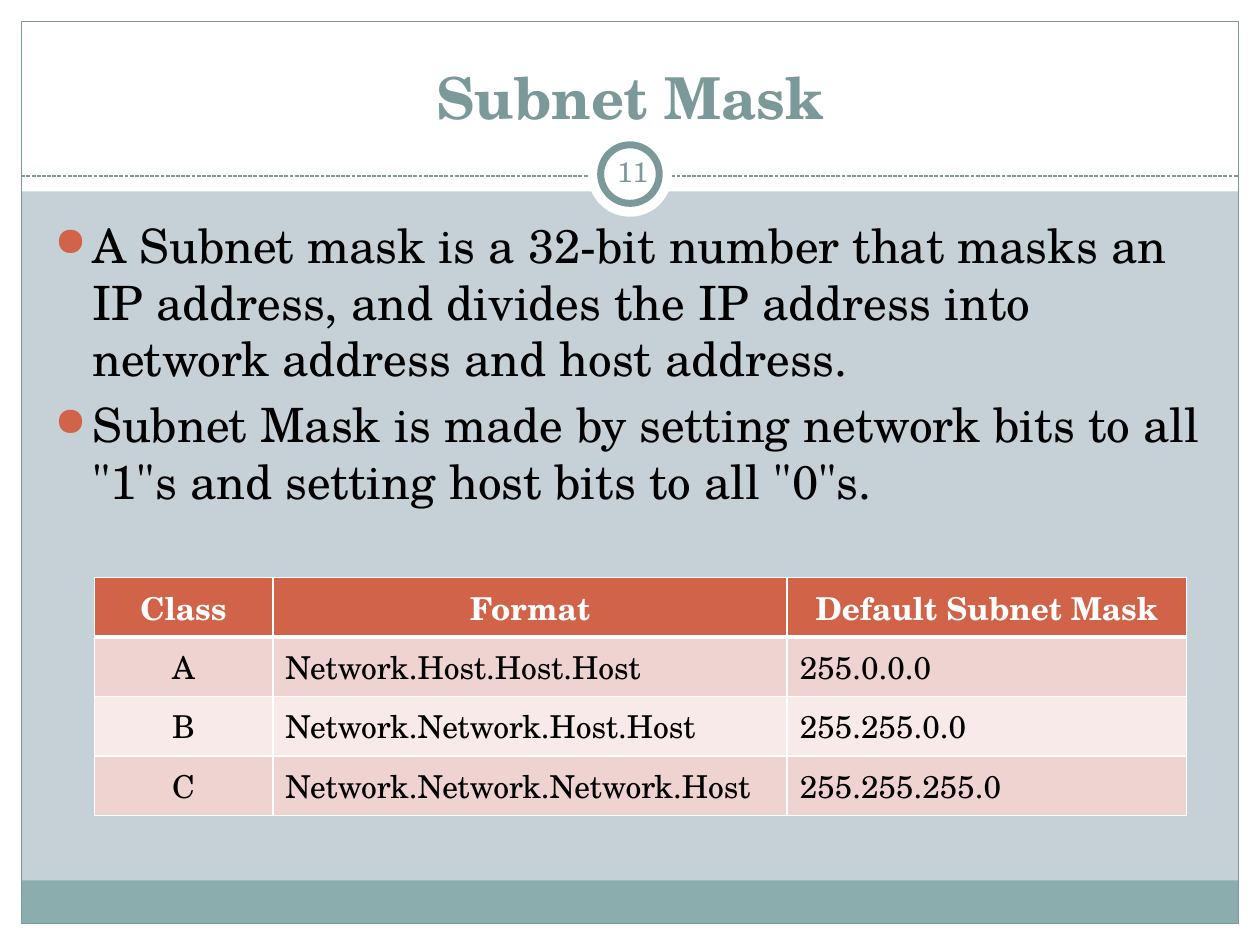
from dataclasses import dataclass
from typing import Optional

from lxml import etree
from pptx import Presentation
from pptx import util as u
from pptx.dml.color import RGBColor
from pptx.enum import dml, shapes, text
from pptx.oxml.ns import qn

FONT = "TeX Gyre Schola"
WHITE, BLACK, TEAL, RUST = "FFFFFF", "000000", "7C999A", "D16349"
W, H, EDGE = 25.4, 19.05, 0.43
CENTER, LEFT = text.PP_ALIGN.CENTER, text.PP_ALIGN.LEFT
RECT, OVAL = shapes.MSO_SHAPE.RECTANGLE, shapes.MSO_SHAPE.OVAL
MIDDLE = text.MSO_ANCHOR.MIDDLE


@dataclass
class Panel:
    x: float
    y: float
    w: float
    h: float
    fill: Optional[str] = WHITE
    line: Optional[str] = None
    weight: float = 0.75
    kind: int = RECT


PANELS = [
    Panel(0, H - EDGE, W, EDGE),
    Panel(0, 0, W, 3.86),
    Panel(0, 0, EDGE, H),
    Panel(W - EDGE, 0, EDGE, H),
    Panel(EDGE, 17.75, W - 2 * EDGE, 0.87, "8CADAE"),
    Panel(EDGE, EDGE, W - 2 * EDGE, H - 2 * EDGE, None, TEAL),
]
RINGS = [
    Panel(11.85, 2.67, 1.7, 1.7, kind=OVAL),
    Panel(12.11, 2.92, 1.18, 1.18, WHITE, TEAL, 4, OVAL),
]
BULLETS = [
    "A Subnet mask is a 32-bit number that masks an IP address, "
    "and divides the IP address into network address and host address.",
    'Subnet Mask is made by setting network bits to all "1"s '
    'and setting host bits to all "0"s.',
]
ROWS = [
    ("Class", "Format", "Default Subnet Mask"),
    ("A", "Network.Host.Host.Host", "255.0.0.0"),
    ("B", "Network.Network.Host.Host", "255.255.0.0"),
    ("C", "Network.Network.Network.Host", "255.255.255.0"),
]
COL_WIDTHS = [3.6, 10.37, 8.05]
ROW_HEIGHT = 1.2


def color(target, value: str) -> None:
    target.rgb = RGBColor.from_string(value)


def paint(fill, value: Optional[str]) -> None:
    if value is None:
        fill.background()
    else:
        fill.solid()
        color(fill.fore_color, value)


def draw_panel(s, panel: Panel) -> None:
    sp = s.shapes.add_shape(panel.kind, u.Cm(panel.x), u.Cm(panel.y),
                            u.Cm(panel.w), u.Cm(panel.h))
    sp.shadow.inherit = False
    paint(sp.fill, panel.fill)
    paint(sp.line.fill, panel.line)
    if panel.line:
        sp.line.width = u.Pt(panel.weight)


def draw_divider(s, y: float) -> None:
    cx = s.shapes.add_connector(shapes.MSO_CONNECTOR.STRAIGHT, u.Cm(EDGE),
                                u.Cm(y), u.Cm(W - EDGE), u.Cm(y))
    color(cx.line.color, TEAL)
    cx.line.width = u.Pt(0.75)
    cx.line.dash_style = dml.MSO_LINE.SQUARE_DOT
    etree.SubElement(cx._element.spPr, qn("a:effectLst"))


def write(p, words: str, *, size: float, ink: str = BLACK, bold: bool = False,
          align=LEFT) -> None:
    p.alignment = align
    r = p.add_run()
    r.text = words
    r.font.name, r.font.size, r.font.bold = FONT, u.Pt(size), bold
    color(r.font.color, ink)


def add_box(s, x: float, y: float, w: float, h: float,
            anchor=text.MSO_ANCHOR.TOP):
    tf = s.shapes.add_textbox(u.Cm(x), u.Cm(y), u.Cm(w), u.Cm(h)).text_frame
    tf.word_wrap = True
    tf.vertical_anchor = anchor
    return tf


def add_bullet(p) -> None:
    pPr = p._p.get_or_add_pPr()
    indent = u.Cm(0.76)
    pPr.set("marL", str(indent))
    pPr.set("indent", str(-indent))
    p.space_before = u.Pt(5.4)
    clr = etree.SubElement(pPr, qn("a:buClr"))
    etree.SubElement(clr, qn("a:srgbClr"), val=RUST)
    etree.SubElement(pPr, qn("a:buSzPct"), val="85000")
    etree.SubElement(pPr, qn("a:buChar"), char="●")


def add_borders(cell, top: float, bottom: float) -> None:
    tcPr = cell._tc.get_or_add_tcPr()
    for side, weight in (("L", 1), ("R", 1), ("T", top), ("B", bottom)):
        ln = etree.SubElement(tcPr, qn(f"a:ln{side}"), w=str(u.Pt(weight)))
        fill = etree.SubElement(ln, qn("a:solidFill"))
        etree.SubElement(fill, qn("a:srgbClr"), val=WHITE)


def draw_table(s, x: float, y: float) -> None:
    table = s.shapes.add_table(
        len(ROWS), len(COL_WIDTHS), u.Cm(x), u.Cm(y),
        u.Cm(sum(COL_WIDTHS)), u.Cm(ROW_HEIGHT * len(ROWS))).table
    for col, width in zip(table.columns, COL_WIDTHS):
        col.width = u.Cm(width)
    for i, row in enumerate(ROWS):
        table.rows[i].height = u.Cm(ROW_HEIGHT)
        header = i == 0
        fill = RUST if header else ("F7EAE9", "EED3D0")[i % 2]
        for j, words in enumerate(row):
            cell = table.cell(i, j)
            add_borders(cell, 3 if i == 1 else 1, 3 if header else 1)
            paint(cell.fill, fill)
            cell.vertical_anchor = MIDDLE
            write(cell.text_frame.paragraphs[0], words, size=18, bold=header,
                  ink=WHITE if header else BLACK,
                  align=CENTER if header or j == 0 else LEFT)


def main() -> None:
    prs = Presentation()
    prs.slide_width, prs.slide_height = u.Cm(W), u.Cm(H)
    s = prs.slides.add_slide(prs.slide_layouts[6])
    paint(s.background.fill, "C5D1D7")

    for panel in PANELS:
        draw_panel(s, panel)
    draw_divider(s, 3.55)
    for ring in RINGS:
        draw_panel(s, ring)

    title = add_box(s, 0.85, 0.64, 23.7, 2.12, text.MSO_ANCHOR.BOTTOM)
    write(title.paragraphs[0], "Subnet Mask", size=33, ink=TEAL, bold=True,
          align=CENTER)

    number = add_box(s, 12.12, 2.84, 1.27, 1.23, MIDDLE)
    number.margin_left = number.margin_right = u.Cm(0.13)
    number.margin_top = number.margin_bottom = u.Cm(0.13)
    write(number.paragraphs[0], "11", size=16, ink=TEAL, align=CENTER)

    body = add_box(s, 0.85, 4.23, 23.62, 12.7)
    for i, words in enumerate(BULLETS):
        p = body.add_paragraph() if i else body.paragraphs[0]
        write(p, words, size=27)
        add_bullet(p)

    draw_table(s, 1.9, 11.64)
    prs.save("out.pptx")


if __name__ == "__main__":
    main()
